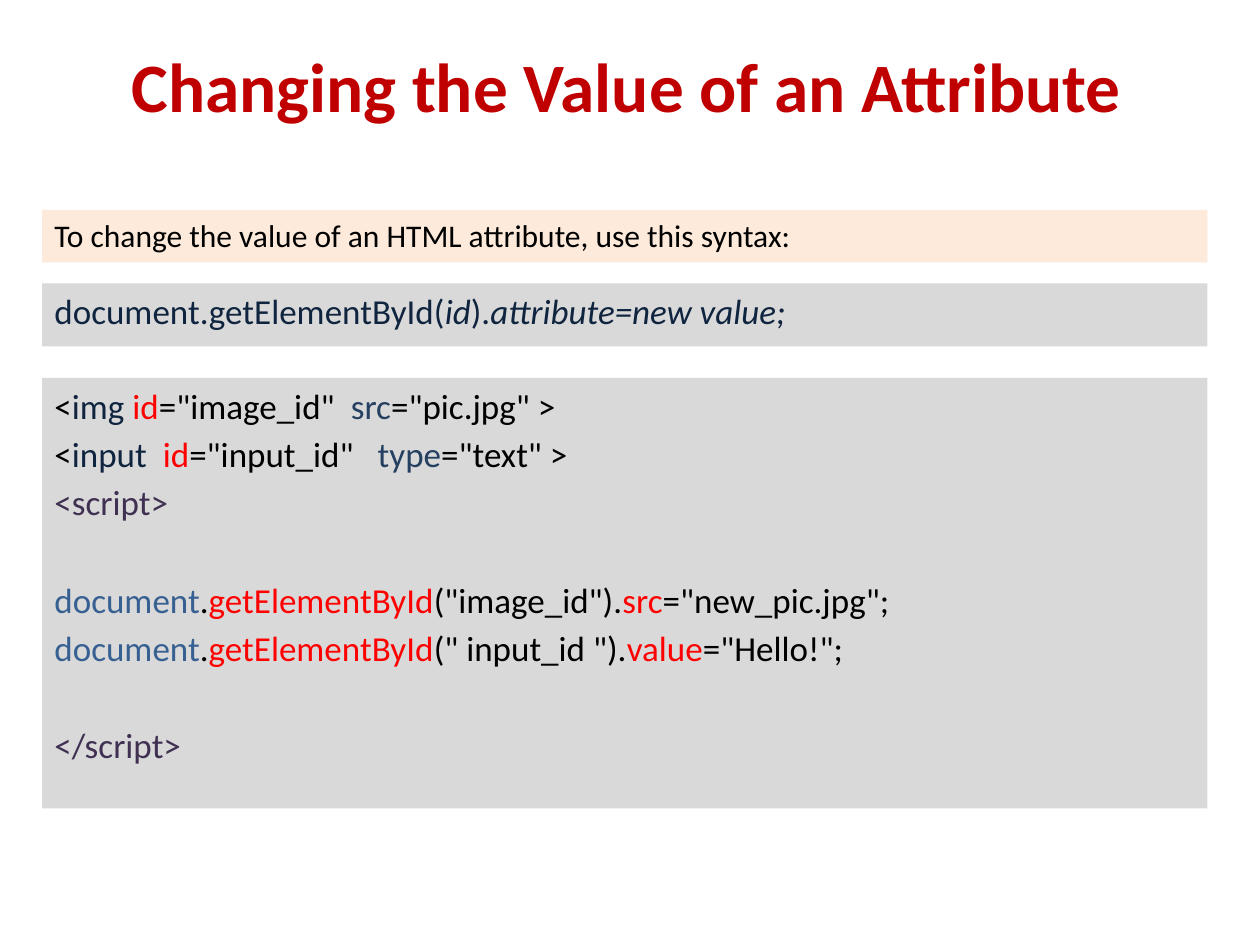
from dataclasses import dataclass

import pptx
import pptx.dml.color
import pptx.enum.shapes
import pptx.enum.text
import pptx.util

Pt = pptx.util.Pt
RGBColor = pptx.dml.color.RGBColor

FONT = "Calibri"
BLACK = RGBColor(0x00, 0x00, 0x00)
RED = RGBColor(0xFF, 0x00, 0x00)
TITLE_RED = RGBColor(0xC0, 0x00, 0x00)
NAVY = RGBColor(0x0F, 0x24, 0x3E)
DARK_BLUE = RGBColor(0x25, 0x40, 0x61)
BLUE = RGBColor(0x37, 0x60, 0x92)
PURPLE = RGBColor(0x40, 0x31, 0x52)
PEACH = RGBColor(0xFD, 0xEA, 0xDA)
GRAY = RGBColor(0xD9, 0xD9, 0xD9)

PANEL_LEFT, PANEL_WIDTH = 24, 666
LINE_GAP = 3.6
SECTION_GAP = 31.6


@dataclass
class Piece:
    text: str
    color: RGBColor = BLACK
    italic: bool = False


@dataclass
class Line:
    pieces: list[Piece]
    space_before: float = LINE_GAP


@dataclass
class Panel:
    top: float
    height: float
    fill: RGBColor
    size: float
    lines: list[Line]


def tag_line(tag: str, element_id: str, attribute: str, value: str) -> Line:
    return Line([Piece("<"), Piece(tag, NAVY), Piece("id", RED), Piece(element_id),
                 Piece(attribute, DARK_BLUE), Piece(value)])


def call_line(argument: str, attribute: str, value: str, gap: float = LINE_GAP) -> Line:
    return Line([Piece("document", BLUE), Piece("."), Piece("getElementById", RED),
                 Piece(argument), Piece(attribute, RED), Piece(value)], gap)


PANELS = [
    Panel(120, 30, PEACH, 18, [
        Line([Piece("To change the value of an HTML attribute, use this syntax:")], 0),
    ]),
    Panel(162, 36, GRAY, 20, [
        Line([Piece("document.getElementById(", NAVY), Piece("id", NAVY, True),
              Piece(").", NAVY), Piece("attribute=new value;", NAVY, True)]),
    ]),
    Panel(216, 246, GRAY, 20, [
        tag_line("img ", '="image_id"  ', "src", '="pic.jpg" >'),
        tag_line("input  ", '="input_id"   ', "type", '="text" >'),
        Line([Piece("<script>", PURPLE)]),
        call_line('("image_id").', "src", '="new_pic.jpg";', SECTION_GAP),
        call_line('(" input_id ").', "value", '="Hello!";'),
        Line([Piece("</script>", PURPLE)], SECTION_GAP),
    ]),
]


def add_panel(slide: pptx.slide.Slide, panel: Panel) -> None:
    shape = slide.shapes.add_shape(
        pptx.enum.shapes.MSO_SHAPE.RECTANGLE,
        Pt(PANEL_LEFT), Pt(panel.top), Pt(PANEL_WIDTH), Pt(panel.height))
    shape.shadow.inherit = False
    shape.fill.solid()
    shape.fill.fore_color.rgb = panel.fill
    shape.line.fill.background()
    text_frame = shape.text_frame
    text_frame.word_wrap = True
    text_frame.vertical_anchor = pptx.enum.text.MSO_ANCHOR.TOP
    for index, line in enumerate(panel.lines):
        paragraph = text_frame.add_paragraph() if index else text_frame.paragraphs[0]
        paragraph.alignment = pptx.enum.text.PP_ALIGN.LEFT
        paragraph.space_before = Pt(line.space_before)
        for piece in line.pieces:
            run = paragraph.add_run()
            run.text = piece.text
            run.font.name = FONT
            run.font.size = Pt(panel.size)
            run.font.italic = piece.italic
            run.font.color.rgb = piece.color


def add_title(slide: pptx.slide.Slide, text: str) -> None:
    title = slide.shapes.title
    title.left, title.top, title.width, title.height = Pt(34), Pt(20), Pt(648), Pt(57)
    title.text_frame.text = text
    title.text_frame.vertical_anchor = pptx.enum.text.MSO_ANCHOR.MIDDLE
    paragraph = title.text_frame.paragraphs[0]
    paragraph.alignment = pptx.enum.text.PP_ALIGN.CENTER
    font = paragraph.runs[0].font
    font.name = FONT
    font.size = Pt(39.6)
    font.bold = True
    font.color.rgb = TITLE_RED


presentation = pptx.Presentation()
presentation.slide_width, presentation.slide_height = Pt(720), Pt(540)
slide = presentation.slides.add_slide(presentation.slide_layouts[5])

# Heading
add_title(slide, "Changing the Value of an Attribute")

# Explanation, syntax and example
for panel in PANELS:
    add_panel(slide, panel)

presentation.save("out.pptx")
